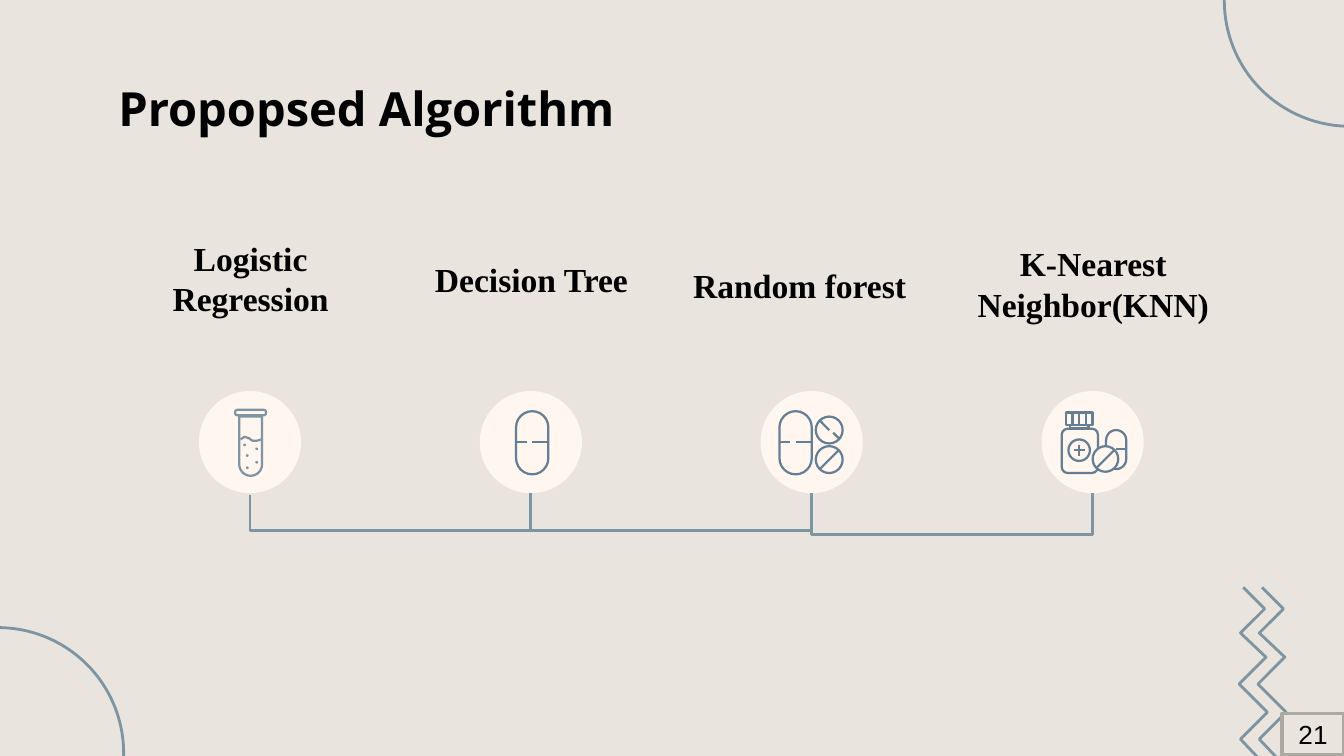
from pptx import Presentation
from pptx.util import Inches, Pt
from pptx.dml.color import RGBColor
from pptx.enum.shapes import MSO_SHAPE as SHAPE, MSO_CONNECTOR as CONN
from pptx.enum.text import PP_ALIGN as ALIGN, MSO_ANCHOR as ANCHOR
from pptx.oxml.ns import qn
from lxml import etree

COLORS = {"bg": "E9E4DD", "disc": "FFF6F0", "line": "7F94A1",
          "icon": "657E93", "border": "ACA9A3", "text": "000000"}
RGB = {name: RGBColor.from_string(value) for name, value in COLORS.items()}

prs = Presentation()
prs.slide_width = Inches(10)
prs.slide_height = Inches(10) * 9 // 16
slide = prs.slides.add_slide(prs.slide_layouts[5])
slide.background.fill.solid()
slide.background.fill.fore_color.rgb = RGB["bg"]
shapes = slide.shapes


def add_shape(kind, x, y, w, h, line=None, fill=None, width=1.2):
    sp = shapes.add_shape(kind, Inches(x), Inches(y), Inches(w), Inches(h))
    sp.shadow.inherit = False
    if fill:
        sp.fill.solid()
        sp.fill.fore_color.rgb = RGB[fill]
    else:
        sp.fill.background()
    if line:
        sp.line.color.rgb = RGB[line]
        sp.line.width = Pt(width)
    else:
        sp.line.fill.background()
    return sp


def add_line(x1, y1, x2, y2, color="icon", width=1.2, kind=CONN.STRAIGHT):
    c = shapes.add_connector(kind, Inches(x1), Inches(y1), Inches(x2), Inches(y2))
    c.line.color.rgb = RGB[color]
    c.line.width = Pt(width)
    etree.SubElement(c._element.spPr, qn("a:effectLst"))
    return c


title = shapes.title
title.left, title.top = Inches(0.78), Inches(0.49)
title.width, title.height = Inches(8.44), Inches(0.63)
title.text_frame.text = "Propopsed Algorithm"
title.text_frame.vertical_anchor = ANCHOR.MIDDLE

labels = [
    ("Logistic Regression", 1.67, ALIGN.CENTER),
    ("Decision Tree", 1.83, ALIGN.CENTER),
    ("Random forest", 1.85, ALIGN.JUSTIFY),
    ("K-Nearest Neighbor(KNN)", 1.71, ALIGN.CENTER),
]
texts = [(title, "Open Sans", 25.2, ALIGN.LEFT)]
centers = [1.86 + 2.09 * i for i in range(len(labels))]
for i, (label, y, align) in enumerate(labels):
    add_shape(SHAPE.OVAL, centers[i] - 0.38, 2.91, 0.76, 0.76, fill="disc")
    box = shapes.add_textbox(Inches(0.88 + 2.09 * i), Inches(y), Inches(1.97), Inches(0.36))
    box.text_frame.word_wrap = True
    box.text_frame.text = label
    if align == ALIGN.JUSTIFY:
        box.text_frame.paragraphs[0].line_spacing = 1.07
        box.text_frame.paragraphs[0].space_after = Pt(8)
    texts.append((box, "Times New Roman", 18, align))

for box, font, size, align in texts:
    tf = box.text_frame
    tf.margin_left = tf.margin_right = tf.margin_top = tf.margin_bottom = Inches(0.1)
    p = tf.paragraphs[0]
    p.alignment = align
    r = p.runs[0]
    r.font.name, r.font.size, r.font.bold = font, Pt(size), True
    r.font.color.rgb = RGB["text"]

for x, depth in zip(centers, (0.27, 0.27, 0.3)):
    bracket = add_line(x, 3.67, x + 2.09, 3.68, "line", 1.5, CONN.ELBOW)
    bracket.left, bracket.top = Inches(x + 1.04), Inches(2.63)
    bracket.width, bracket.height = Inches(0.01), Inches(2.09)
    bracket._element.spPr.find(qn("a:xfrm")).set("rot", "16200000")
    guides = bracket._element.spPr.find(qn("a:prstGeom")).get_or_add_avLst()
    ratio = round(-depth / 0.01 * 100000)
    etree.SubElement(guides, qn("a:gd"), name="adj1", fmla=f"val {ratio}")

tube = add_shape(SHAPE.ROUND_2_SAME_RECTANGLE, 1.78, 3.1, 0.17, 0.44, "line")
tube.rotation = 180
tube.adjustments[0] = 0.5
rim = add_shape(SHAPE.ROUNDED_RECTANGLE, 1.75, 3.05, 0.23, 0.04, "line")
rim.adjustments[0] = 0.4
for x, y in [(1.82, 3.31), (1.91, 3.34), (1.84, 3.48), (1.91, 3.44), (1.84, 3.39)]:
    add_shape(SHAPE.OVAL, x - 0.01, y - 0.01, 0.02, 0.02, fill="line")

for x in (3.84, 5.8):
    capsule = add_shape(SHAPE.ROUNDED_RECTANGLE, x, 3.06, 0.24, 0.47, "icon")
    capsule.adjustments[0] = 0.5
    add_line(x, 3.29, x + 0.08, 3.29)
    add_line(x + 0.12, 3.29, x + 0.24, 3.29)

for y in (3.1, 3.32):
    add_shape(SHAPE.OVAL, 6.07, y, 0.2, 0.2, "icon")
add_line(6.1, 3.13, 6.17, 3.2)
add_line(6.2, 3.22, 6.25, 3.27)
add_line(6.1, 3.49, 6.24, 3.35)

spare = add_shape(SHAPE.ROUNDED_RECTANGLE, 8.23, 3.2, 0.15, 0.29, "icon")
spare.adjustments[0] = 0.5
add_line(8.3, 3.34, 8.38, 3.34)
add_shape(SHAPE.RECTANGLE, 7.93, 3.07, 0.2, 0.09, "icon")
for x in (7.98, 8.03, 8.08):
    add_line(x, 3.07, x, 3.16)
add_shape(SHAPE.RECTANGLE, 7.96, 3.16, 0.14, 0.03, "icon")
add_shape(SHAPE.ROUNDED_RECTANGLE, 7.9, 3.19, 0.27, 0.33, "icon")
add_shape(SHAPE.OVAL, 7.95, 3.27, 0.16, 0.16, "icon")
add_line(7.99, 3.35, 8.07, 3.35)
add_line(8.03, 3.31, 8.03, 3.39)
add_shape(SHAPE.OVAL, 8.13, 3.32, 0.19, 0.19, "icon", "disc")
add_line(8.16, 3.48, 8.29, 3.35)

liquid = [(1.79, 3.27), (1.82, 3.25), (1.85, 3.26), (1.88, 3.28), (1.91, 3.28), (1.95, 3.27)]
zigzag = [(9.25, 4.37), (9.41, 4.53), (9.23, 4.71), (9.42, 4.89),
          (9.22, 5.09), (9.43, 5.3), (9.23, 5.5), (9.41, 5.69)]
shifted = [(x + 0.14, y) for x, y in zigzag]
for points, width in [(liquid, 1.2), (zigzag, 1.5), (shifted, 1.5)]:
    points = [(Inches(x), Inches(y)) for x, y in points]
    builder = shapes.build_freeform(*points[0])
    builder.add_line_segments(points[1:], close=False)
    sp = builder.convert_to_shape()
    sp.shadow.inherit = False
    sp.fill.background()
    sp.line.color.rgb = RGB["line"]
    sp.line.width = Pt(width)

for x, y in [(-0.95, 4.67), (9.11, -0.93)]:
    add_shape(SHAPE.OVAL, x, y, 1.87, 1.87, "line", width=1.5)

number = add_shape(SHAPE.RECTANGLE, 9.54, 5.31, 0.46, 0.31, "border", "bg", 2)
tf = number.text_frame
tf.text = "21"
tf.vertical_anchor = ANCHOR.MIDDLE
p = tf.paragraphs[0]
p.alignment = ALIGN.CENTER
r = p.runs[0]
r.font.name, r.font.size = "Arial", Pt(14)
r.font.color.rgb = RGB["text"]

prs.save("out.pptx")
